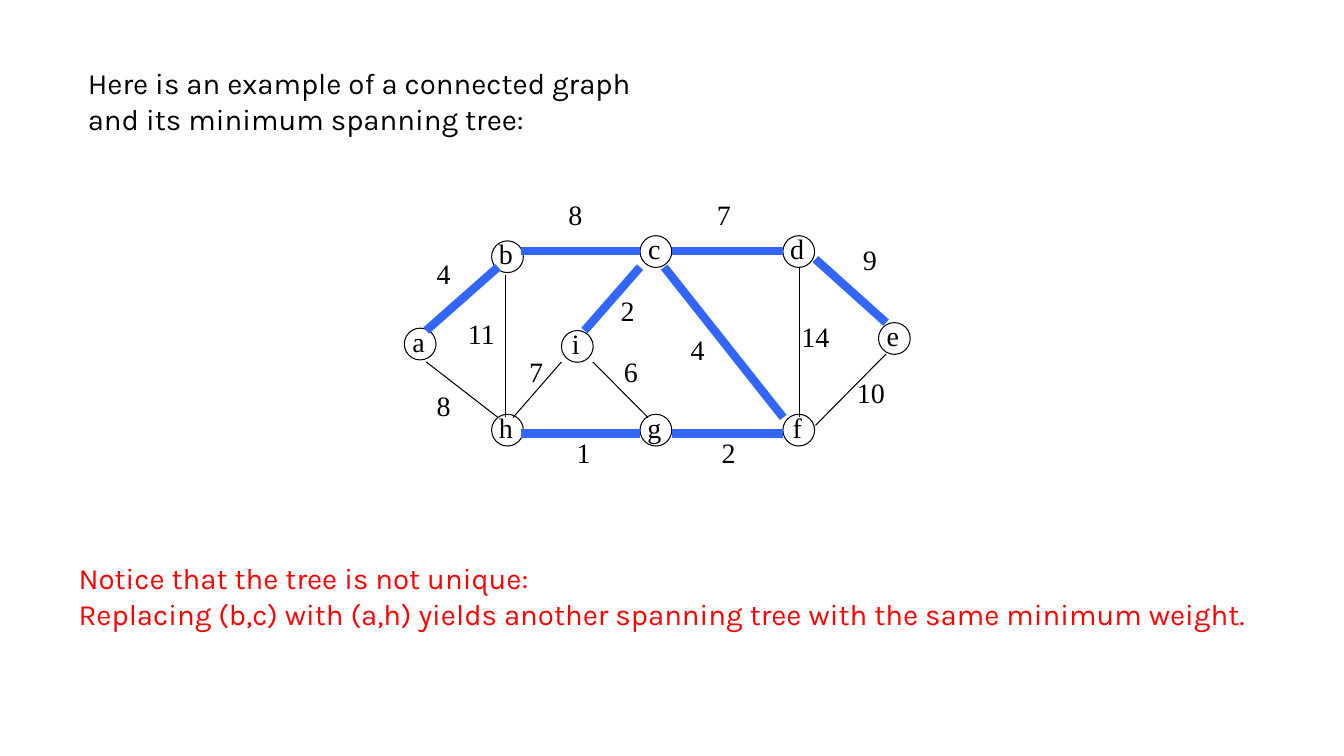
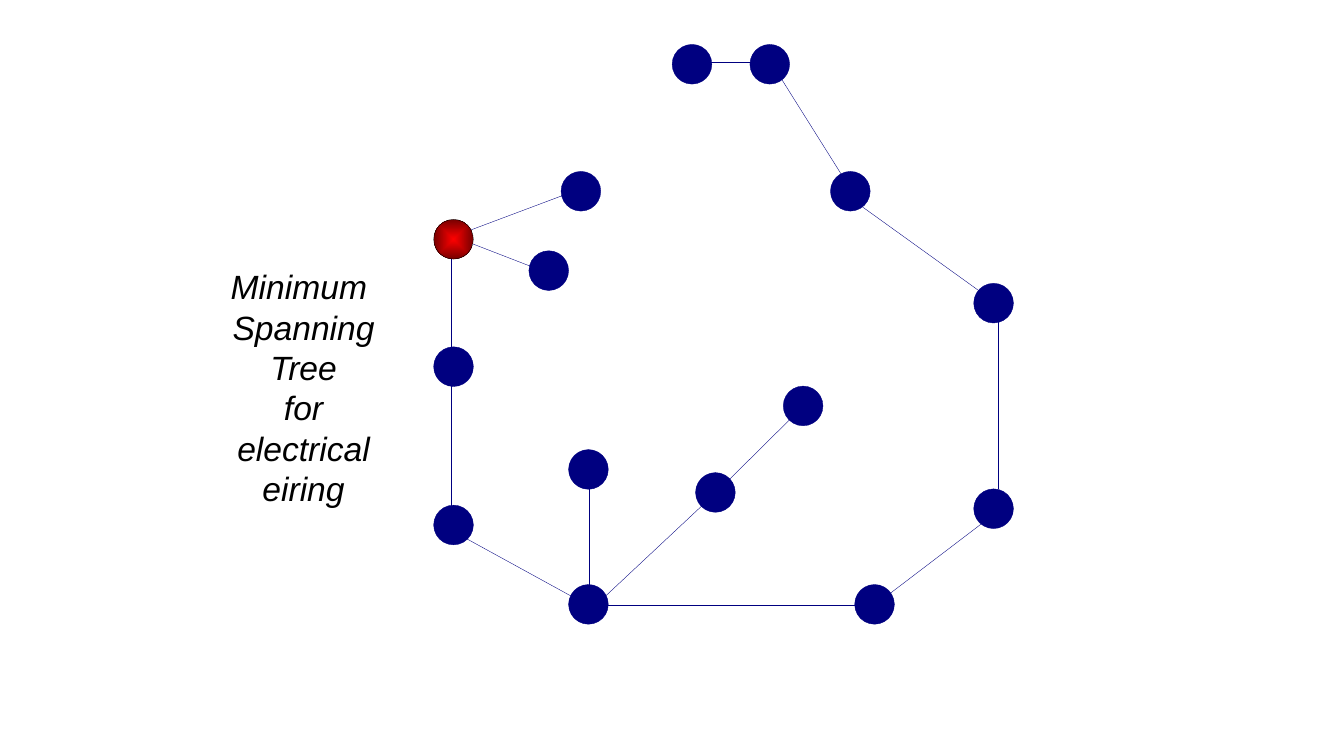
from pptx import Presentation
from pptx.dml.color import RGBColor
from pptx.enum.shapes import MSO_CONNECTOR, MSO_SHAPE
from pptx.enum.text import MSO_ANCHOR, MSO_AUTO_SIZE, PP_ALIGN
from pptx.oxml import parse_xml
from pptx.oxml.ns import nsdecls, qn
from pptx.util import Cm, Pt

BLACK = RGBColor(0x00, 0x00, 0x00)
RED = RGBColor(0xFF, 0x00, 0x00)
DARK = RGBColor(0x76, 0x00, 0x00)
BLUE = RGBColor(0x33, 0x66, 0xFF)
NAVY = RGBColor(0x00, 0x00, 0x80)

LEFT, CENTER = PP_ALIGN.LEFT, PP_ALIGN.CENTER
TOP = MSO_ANCHOR.TOP
FIT = MSO_AUTO_SIZE.SHAPE_TO_FIT_TEXT
OVAL = MSO_SHAPE.OVAL
STRAIGHT = MSO_CONNECTOR.STRAIGHT

# Vertices: name, centre
NODES = [
    ("a", 10.59, 8.67), ("b", 12.79, 6.47), ("h", 12.79, 10.84),
    ("c", 16.53, 6.34), ("d", 20.13, 6.34), ("e", 22.54, 8.53),
    ("f", 20.13, 10.84), ("g", 16.53, 10.84), ("i", 14.55, 8.73),
]
# Edges: ends, weight, centre of the weight
TREE = [
    ((10.74, 8.33, 12.55, 6.73), "4", 11.18, 6.88),
    ((13.13, 6.32, 16.13, 6.32), "8", 14.5, 5.41),
    ((16.94, 6.32, 19.74, 6.32), "7", 18.24, 5.41),
    ((20.55, 6.53, 22.33, 8.13), "9", 21.92, 6.53),
    ((16.74, 6.73, 19.74, 10.52), "4", 17.58, 8.81),
    ((14.73, 8.33, 16.13, 6.73), "2", 15.82, 7.82),
    ((13.13, 10.92, 16.13, 10.92), "1", 14.71, 11.4),
    ((16.94, 10.92, 19.74, 10.92), "2", 18.36, 11.4),
]
OTHER = [
    ((10.74, 9.12, 12.55, 10.52), "8", 11.18, 10.21),
    ((12.73, 6.93, 12.73, 10.52), "11", 12.13, 8.41),
    ((20.14, 6.73, 20.14, 10.52), "14", 20.55, 8.48),
    ((20.55, 10.72, 22.33, 8.92), "10", 21.95, 9.88),
    ((14.94, 9.12, 16.33, 10.52), "6", 15.9, 9.35),
    ((12.93, 10.52, 14.15, 9.12), "7", 13.51, 9.35),
]
WIRES = [
    (11.38, 9.53, 11.38, 12.93), (11.33, 13.34, 14.94, 15.32),
    (11.53, 5.92, 14.73, 4.72), (11.33, 5.92, 13.94, 6.93),
    (17.93, 12.52, 14.94, 15.32), (21.95, 15.24, 15.14, 15.24),
    (20.35, 10.13, 18.14, 12.32), (17.53, 1.57, 19.13, 1.57),
    (19.53, 1.73, 21.54, 4.93), (21.34, 4.93, 24.94, 7.52),
    (25.35, 12.73, 21.95, 15.32), (25.15, 7.72, 25.15, 12.32),
    (11.38, 6.32, 11.38, 8.92), (14.86, 11.91, 14.86, 14.94),
]
ROOT = (11.43, 6.03)
DOTS = [
    (14.83, 15.23), (11.43, 13.23), (14.83, 11.83), (14.64, 4.82),
    (21.43, 4.82), (19.4, 1.62), (17.44, 1.62), (20.24, 10.23),
    (25.04, 7.64), (25.04, 12.82), (18.03, 12.41), (13.83, 6.82),
    (11.43, 9.24), (22.04, 15.23),
]


class Deck:
    """Holds the text style and the slide being drawn."""
    body = ("Karla", 21)
    mark = ("Times New Roman", 20)
    head = ("Arial", 24)

    def __init__(self):
        self.prs = Presentation()
        self.prs.slide_width, self.prs.slide_height = Cm(33.87), Cm(19.05)

    def start(self):
        layout = self.prs.slide_layouts.get_by_name("Title Only")
        self.slide = self.prs.slides.add_slide(layout)
        self.shapes = self.slide.shapes

    def fill_text(self, shape, lines, font, color=BLACK, align=LEFT,
                  wrap=True, italic=False):
        frame = shape.text_frame
        frame.text = "\n".join(lines)
        frame.word_wrap = wrap
        frame.auto_size = FIT
        frame.vertical_anchor = TOP
        for para in frame.paragraphs:
            para.alignment = align
            para.font.name, size = font
            para.font.size = Pt(size)
            para.font.color.rgb = color
            para.font.italic = italic

    def title(self, box, lines, font, **style):
        shape = self.shapes.title
        shape.left, shape.top, shape.width, shape.height = map(Cm, box)
        self.fill_text(shape, lines, font, **style)

    def text(self, box, lines, font, **style):
        shape = self.shapes.add_textbox(*map(Cm, box))
        self.fill_text(shape, lines, font, **style)

    def label(self, x, y, word):
        """Put a short word centred on a point."""
        wide, high = 0.51 + 0.35 * len(word), 1.1
        self.text((x - wide / 2, y - high / 2, wide, high), [word], self.mark,
                  align=CENTER, wrap=False)

    def line(self, ends, color, width):
        line = self.shapes.add_connector(STRAIGHT, *map(Cm, ends))
        line.line.color.rgb = color
        line.line.width = Pt(width)
        line._element.spPr.append(
            parse_xml(f"<a:effectLst {nsdecls('a')}/>"))

    def disc(self, x, y, size, color, width, fill=None):
        box = (x - size / 2, y - size / 2, size, size)
        disc = self.shapes.add_shape(OVAL, *map(Cm, box))
        disc.shadow.inherit = False
        disc.line.color.rgb = color
        disc.line.width = Pt(width)
        if fill is None:
            disc.fill.background()
        else:
            disc.fill.solid()
            disc.fill.fore_color.rgb = fill
        return disc

    def node(self, name, x, y):
        self.label(x - 0.04, y - 0.08, name)
        self.disc(x, y, 0.8, BLACK, 0.75)

    def edge(self, ends, weight, x, y, color, width):
        self.line(ends, color, width)
        self.label(x, y, weight)

    def dot(self, x, y):
        self.disc(x, y, 1, NAVY, 0.25, NAVY)

    def ball(self, x, y):
        """Draw a dot that shades from red to dark red at its rim."""
        ball = self.disc(x, y, 1, BLACK, 0.25)
        ball.fill.gradient()
        for stop, color in zip(ball.fill.gradient_stops, (RED, DARK)):
            stop.color.rgb = color
        grad = ball._element.spPr.find(qn("a:gradFill"))
        grad.replace(grad.find(qn("a:lin")), parse_xml(
            f'<a:path {nsdecls("a")} path="shape"><a:fillToRect l="50000"'
            ' t="50000" r="50000" b="50000"/></a:path>'))


def graph(deck):
    deck.start()
    deck.title((1.96, 1.52, 24.64, 2.06),
               ["Here is an example of a connected graph",
                "and its minimum spanning tree:"], deck.body)
    for node in NODES:
        deck.node(*node)
    for edges, color, width in ((TREE, BLUE, 6), (OTHER, BLACK, 0.75)):
        for edge in edges:
            deck.edge(*edge, color, width)
    deck.text((1.73, 14, 31.01, 2.06),
              ["Notice that the tree is not unique:",
               "Replacing (b,c) with (a,h) yields another spanning tree "
               "with the same minimum weight."], deck.body, color=RED)


def wiring(deck):
    deck.start()
    deck.title((5.54, 6.58, 4.22, 6.43),
               ["Minimum ", "Spanning", "Tree", "for", "electrical", "eiring"],
               deck.head, align=CENTER, wrap=False, italic=True)
    for wire in WIRES:
        deck.line(wire, NAVY, 0.25)
    for dot in DOTS:
        deck.dot(*dot)
    deck.ball(*ROOT)


def main():
    deck = Deck()
    graph(deck)
    wiring(deck)
    deck.prs.save("out.pptx")


if __name__ == "__main__":
    main()
